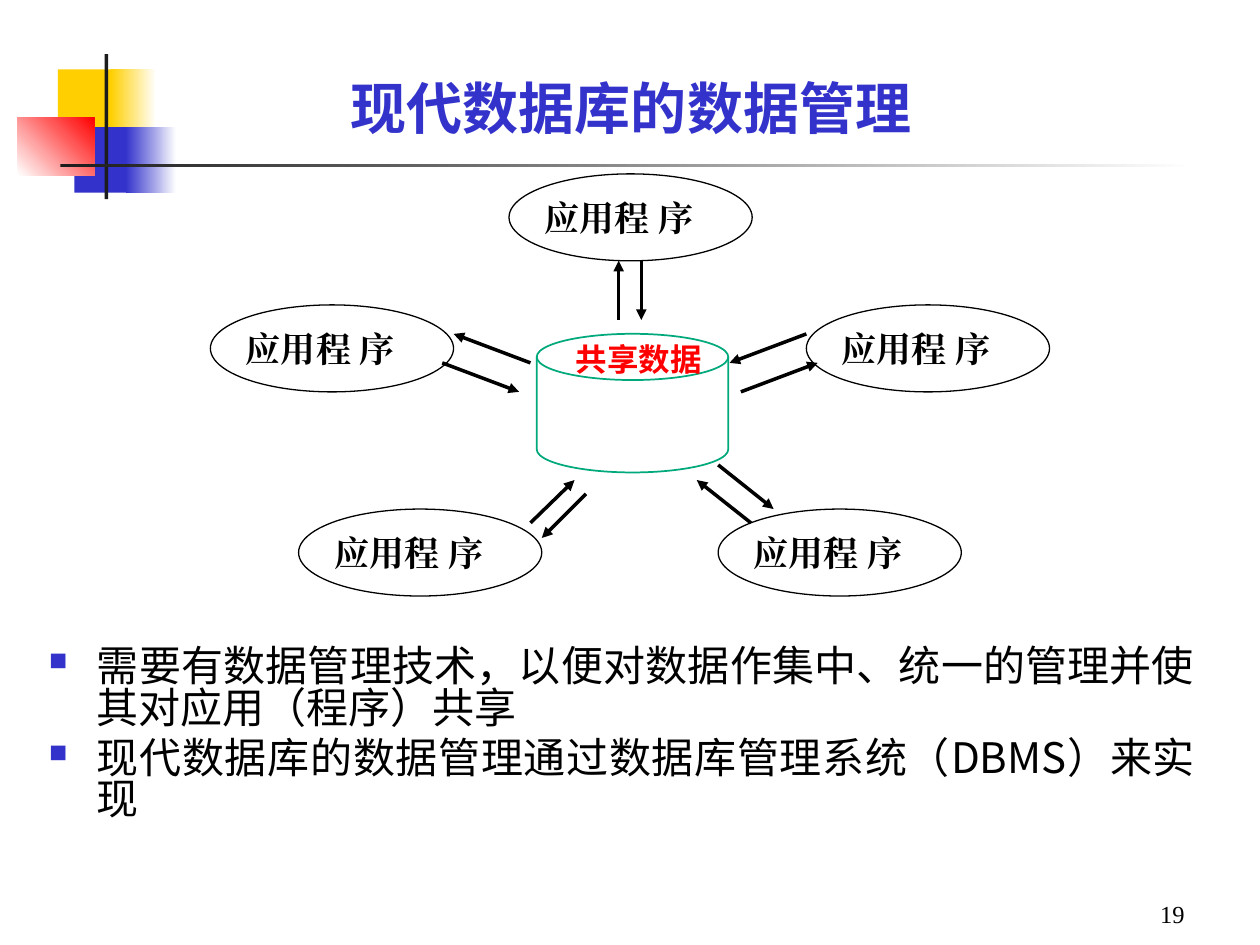
from dataclasses import dataclass

from lxml.etree import SubElement
from pptx import Presentation
from pptx.dml.color import RGBColor
from pptx.enum.shapes import MSO_CONNECTOR, MSO_SHAPE as SHAPE
from pptx.enum.text import MSO_ANCHOR as ANCHOR, PP_ALIGN as ALIGN
from pptx.oxml.ns import qn
from pptx.util import Inches, Pt


@dataclass(frozen=True)
class Theme:
    blue: str = "3333CC"
    yellow: str = "FFCF01"
    red: str = "FF0000"
    dark: str = "1C1C1C"
    black: str = "000000"
    white: str = "FFFFFF"
    green: str = "00A97C"
    heading: str = "Lato"
    body: str = "Noto Sans CJK SC"
    serif: str = "Times New Roman"
    title_size: int = 32
    body_size: int = 24
    app_size: int = 20
    store_size: int = 18
    number_size: int = 14


T = Theme()
COLS, ROWS = 100, 75
WIDTH, HEIGHT = Inches(10), Inches(7.5)

APP_SIZE = (19.3, 6.9)
APPS = [(40.4, 13.8), (16.7, 24.2), (64, 24.2), (57, 40.4), (23.7, 40.4)]
ARROWS = [
    (49.1, 25.4, 49.1, 20.7), (50.9, 20.7, 50.9, 25.4),
    (42.1, 28.8, 36, 26.5), (35.1, 28.8, 41.2, 31.1),
    (64, 26.5, 57.9, 28.8), (58.8, 31.1, 64.9, 28.8),
    (42.1, 41.5, 45.6, 38.1), (46.5, 39.2, 43, 42.7),
    (59.6, 41.5, 55.3, 38.1), (57, 36.9, 61.4, 40.4),
]
POINTS = [
    "需要有数据管理技术，以便对数据作集中、统一的管理并使其对应用（程序）共享",
    "现代数据库的数据管理通过数据库管理系统（DBMS）来实现",
]


def rgb(color):
    return RGBColor.from_string(color)


def col(n):
    return round(WIDTH * n / COLS)


def row(n):
    return round(HEIGHT * n / ROWS)


def place(x, y, w, h):
    return col(x), row(y), col(w), row(h)


def add_bullet(p, color, percent):
    pPr = p._p.get_or_add_pPr()
    pPr.set("marL", str(Inches(0.38)))
    pPr.set("indent", str(-Inches(0.38)))
    SubElement(SubElement(pPr, qn("a:buClr")), qn("a:srgbClr"), val=color)
    SubElement(pPr, qn("a:buSzPct"), val=str(percent * 1000))
    SubElement(pPr, qn("a:buChar"), char="■")


def write(tf, *lines, font, size, color=T.black, bold=False, align=ALIGN.LEFT,
          anchor=ANCHOR.TOP, inset=(0.1, 0.05), bullet=None, spacing=None, gap=0):
    tf.word_wrap = True
    tf.vertical_anchor = anchor
    tf.margin_left = tf.margin_right = Inches(inset[0])
    tf.margin_top = tf.margin_bottom = Inches(inset[1])
    for i, line in enumerate(lines):
        p = tf.add_paragraph() if i else tf.paragraphs[0]
        p.alignment = align
        if spacing:
            p.line_spacing = spacing
        if i:
            p.space_before = Pt(gap)
        if bullet:
            add_bullet(p, bullet, 60)
        r = p.add_run()
        r.text = line
        f = r.font
        f.name, f.size, f.bold = font, Pt(size), bold
        f.color.rgb = rgb(color)
        SubElement(r._r.get_or_add_rPr(), qn("a:ea"), typeface=font)


def add_text(s, box, *lines, **fmt):
    write(s.shapes.add_textbox(*place(*box)).text_frame, *lines, **fmt)


def add_shape(s, kind, box, fill, fade=None, angle=0, line=None, weight=1):
    sp = s.shapes.add_shape(kind, *place(*box))
    sp.shadow.inherit = False
    if fade:
        sp.fill.gradient()
        sp.fill.gradient_angle = angle
        for stop, color in zip(sp.fill.gradient_stops, (fill, fade)):
            stop.color.rgb = rgb(color)
    else:
        sp.fill.solid()
        sp.fill.fore_color.rgb = rgb(fill)
    if line:
        sp.line.color.rgb = rgb(line)
        sp.line.width = Pt(weight)
    else:
        sp.line.fill.background()
    return sp


def add_arrow(s, x1, y1, x2, y2):
    c = s.shapes.add_connector(MSO_CONNECTOR.STRAIGHT, col(x1), row(y1), col(x2), row(y2))
    c.line.color.rgb = rgb(T.black)
    c.line.width = Pt(2)
    SubElement(c.line._get_or_add_ln(), qn("a:tailEnd"), type="triangle")
    SubElement(c._element.spPr, qn("a:effectLst"))


def add_ornament(s):
    rect = SHAPE.RECTANGLE
    add_shape(s, rect, (4.6, 5.5, 4.8, 5.2), T.yellow)
    add_shape(s, rect, (8.8, 5.5, 3.6, 5.2), T.yellow, fade=T.white)
    add_shape(s, rect, (5.9, 10.1, 4.6, 5.2), T.blue)
    add_shape(s, rect, (10, 10.1, 4, 5.2), T.blue, fade=T.white)
    add_shape(s, rect, (1.4, 9.3, 6.1, 4.6), T.white, fade=T.red, angle=45)
    add_shape(s, rect, (8.3, 4.3, 0.3, 11.5), T.dark)
    add_shape(s, rect, (4.8, 13, 90, 0.3), T.dark, fade=T.white)


def add_diagram(s):
    for corner in APPS:
        app = add_shape(s, SHAPE.OVAL, corner + APP_SIZE, T.white, line=T.black, weight=0.75)
        write(app.text_frame, "应用程 序", font=T.serif, size=T.app_size, bold=True,
              anchor=ANCHOR.MIDDLE, inset=(0, 0))
    for ends in ARROWS:
        add_arrow(s, *ends)
    add_shape(s, SHAPE.FLOWCHART_MAGNETIC_DISK, (42.6, 26.5, 15.2, 11), T.white, line=T.green)
    add_text(s, (44.7, 26.5, 13.2, 4), "共享数据", font=T.heading, size=T.store_size,
             color=T.red, bold=True)


def main():
    prs = Presentation()
    prs.slide_width, prs.slide_height = WIDTH, HEIGHT
    s = prs.slides.add_slide(prs.slide_layouts[6])
    add_ornament(s)
    add_text(s, (7.5, 4.2, 85.2, 8.6), "现代数据库的数据管理", font=T.heading,
             size=T.title_size, color=T.blue, bold=True, align=ALIGN.CENTER,
             anchor=ANCHOR.MIDDLE, inset=(0.1, 0))
    add_text(s, (2.9, 51, 92.9, 15), *POINTS, font=T.body, size=T.body_size,
             align=ALIGN.JUSTIFY, bullet=T.blue, spacing=0.82, gap=5)
    add_text(s, (74.2, 69.2, 20.8, 5), "19", font=T.serif, size=T.number_size,
             align=ALIGN.RIGHT, anchor=ANCHOR.BOTTOM)
    add_diagram(s)
    prs.save("out.pptx")


if __name__ == "__main__":
    main()
